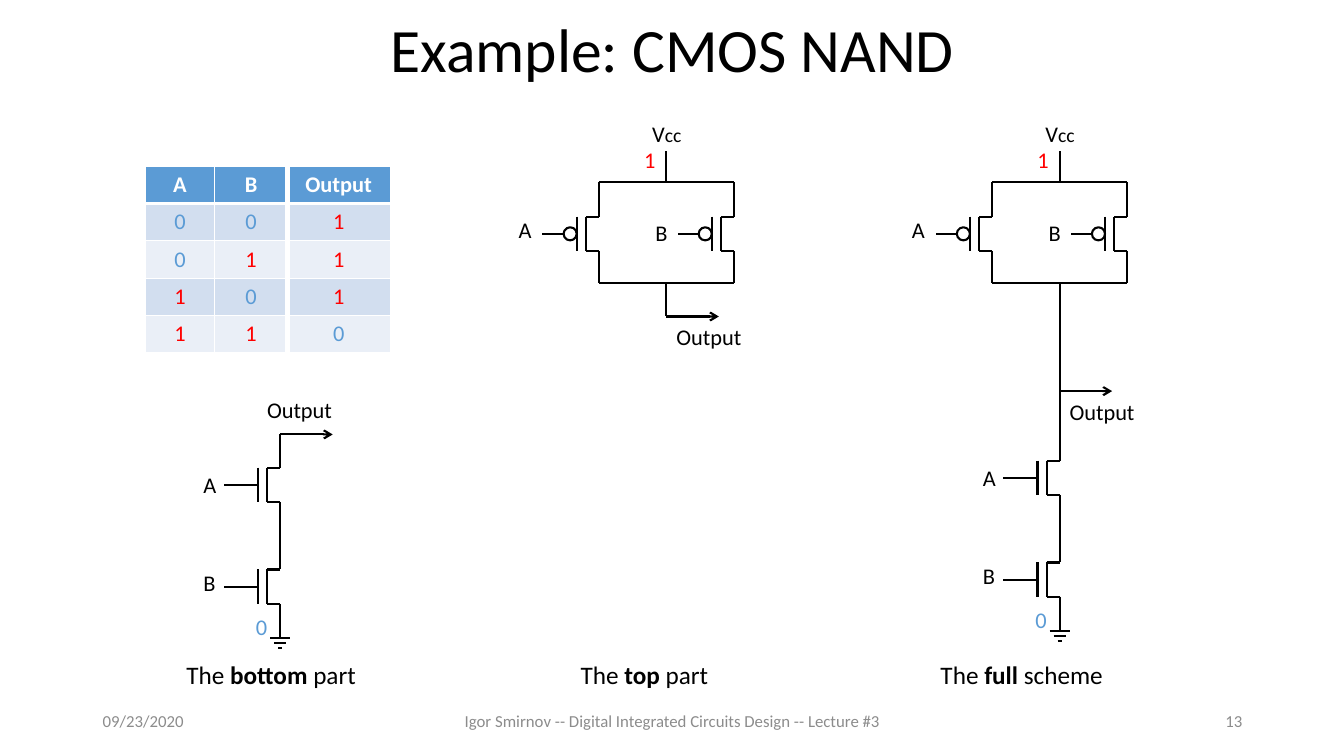
import pptx
import pptx.util
import pptx.dml.color
import pptx.enum.shapes
import pptx.enum.text
import pptx.oxml
import pptx.oxml.ns

THEME = {
    "font": "Calibri",
    "black": "000000", "white": "FFFFFF", "grey": "8C8C8C",
    "high": "FF0000", "low": "5B9BD5", "header": "5B9BD5",
    "bands": ("D2DEEF", "EAEFF7"),
    "title": 44, "caption": 18, "label": 16, "subscript": 14, "footer": 12,
    "wire": 1.5,
}
TITLE = "Example: CMOS NAND"
FOOTERS = [
    ("09/23/2020", 0.92, 3, "LEFT"),
    ("Igor Smirnov -- Digital Integrated Circuits Design -- Lecture #3", 4.42, 4.5, "CENTER"),
    ("13", 9.42, 3, "RIGHT"),
]
TRUTH = [("A", "B", "Output"), "001", "011", "101", "110"]
COLUMNS = (0.69, 0.72, 1.02)
CAPTIONS = [("bottom ", "part", 1.75, 1.91), ("top ", "part", 5.66, 1.48), ("full ", "scheme", 9.23, 1.83)]
LABEL_WIDTHS = {"A": 0.33, "B": 0.34, "Output": 0.85, "0": 0.32, "1": 0.32}
LEVELS = {"0": THEME["low"], "1": THEME["high"]}
GATE = 0.34
BRANCH = 0.67
RAIL_TOP, RAIL_BOTTOM = 1.81, 2.81
STACK_STEP = 1.01

Inches, Pt = pptx.util.Inches, pptx.util.Pt
ALIGN = pptx.enum.text.PP_ALIGN
MIDDLE = pptx.enum.text.MSO_ANCHOR.MIDDLE
qn = pptx.oxml.ns.qn

prs = pptx.Presentation()
prs.slide_width, prs.slide_height = Inches(13.33), Inches(7.5)
s = prs.slides.add_slide(prs.slide_layouts[5])


def rgb(color):
    return pptx.dml.color.RGBColor.from_string(color)


def add_run(p, text, size, color=THEME["black"], bold=False):
    r = p.add_run()
    r.text = text
    r.font.name, r.font.size, r.font.bold = THEME["font"], Pt(size), bold
    r.font.color.rgb = rgb(color)


def add_text(shapes, x, y, w, h, runs, align="LEFT", wrap=False):
    tf = shapes.add_textbox(Inches(x), Inches(y), Inches(w), Inches(h)).text_frame
    tf.word_wrap = wrap
    p = tf.paragraphs[0]
    p.alignment = ALIGN[align]
    for run in runs:
        add_run(p, *run)
    return tf


def label(g, text, x, y, align="LEFT"):
    color = LEVELS.get(text, THEME["black"])
    add_text(g, x, y, LABEL_WIDTHS[text], 0.37, [(text, THEME["label"], color)], align)


def wire(g, x1, y1, x2, y2, arrow=False):
    c = g.add_connector(pptx.enum.shapes.MSO_CONNECTOR.STRAIGHT,
                        Inches(x1), Inches(y1), Inches(x2), Inches(y2))
    c.line.color.rgb, c.line.width = rgb(THEME["black"]), Pt(THEME["wire"])
    if arrow:
        pptx.oxml.ns  
        tail = c.line._get_or_add_ln().makeelement(qn("a:tailEnd"), {"type": "arrow"})
        c.line._get_or_add_ln().append(tail)
    sp_pr = c._element.spPr
    sp_pr.append(sp_pr.makeelement(qn("a:effectLst"), {}))


def transistor(g, x, y, top, bottom, inverted=False):
    channel, plate, end = x - 0.13, x - 0.22, y + GATE
    middle = y + GATE / 2
    wire(g, channel, y, channel, end)
    wire(g, channel, y, x, y)
    wire(g, channel, end, x, end)
    wire(g, x, top, x, y)
    wire(g, x, end, x, bottom)
    wire(g, plate, y, plate, end)
    wire(g, plate, middle, plate - GATE, middle)
    if inverted:
        d = 0.13
        sp = g.add_shape(pptx.enum.shapes.MSO_SHAPE.OVAL, Inches(plate - d),
                         Inches(middle - d / 2), Inches(d), Inches(d))
        sp.shadow.inherit = False
        sp.fill.solid()
        sp.fill.fore_color.rgb = rgb(THEME["white"])
        sp.line.color.rgb, sp.line.width = rgb(THEME["black"]), Pt(THEME["wire"])


def output(g, x, y, dx, dy):
    wire(g, x, y, x + 0.52, y, arrow=True)
    label(g, "Output", x + dx, y + dy)


def pull_up(g, x, out_y):
    for name, bx, label_y in (("A", x - BRANCH, 2.1), ("B", x + BRANCH, 2.12)):
        transistor(g, bx, 2.15, RAIL_TOP, RAIL_BOTTOM, inverted=True)
        label(g, name, bx - 0.9, label_y, "RIGHT")
    for y in (RAIL_TOP, RAIL_BOTTOM):
        wire(g, x - BRANCH, y, x + BRANCH, y)
    wire(g, x, 1.5, x, RAIL_TOP)
    wire(g, x, RAIL_BOTTOM, x, out_y)
    add_text(g, x - 0.24, 1.14, 0.49, 0.37,
             [("V", THEME["label"]), ("cc", THEME["subscript"])])
    label(g, "1", x - 0.32, 1.4)
    output(g, x, out_y, 0, 0.02)


def pull_down(g, x, y, out_y):
    second, joint = y + STACK_STEP, y + 2 * GATE
    ground = second + 2 * GATE
    transistor(g, x, y, out_y, joint)
    transistor(g, x, second, joint, ground)
    label(g, "A", x - 0.86, y - 0.01)
    label(g, "B", x - 0.86, second - 0.05)
    label(g, "0", x - 0.34, second + 0.38)
    for i, half in enumerate((0.1, 0.06, 0.02)):
        bar = ground + i * 0.05
        wire(g, x - half, bar, x + half, bar)


def add_border(cell, sides):
    tc_pr = cell._tc.get_or_add_tcPr()
    for i, (side, width) in enumerate(sides.items()):
        ln = tc_pr.makeelement(qn("a:ln" + side), {"w": str(int(Pt(width)))})
        fill = ln.makeelement(qn("a:solidFill"), {})
        fill.append(fill.makeelement(qn("a:srgbClr"), {"val": THEME["white"]}))
        ln.append(fill)
        tc_pr.insert(i, ln)


def add_truth_table():
    row_h = 0.37
    table = s.shapes.add_table(len(TRUTH), len(COLUMNS), Inches(1.44), Inches(1.65),
                               Inches(sum(COLUMNS)), Inches(row_h * len(TRUTH))).table
    for column, width in zip(table.columns, COLUMNS):
        column.width = Inches(width)
    for i, values in enumerate(TRUTH):
        table.rows[i].height = Inches(row_h)
        for j, value in enumerate(values):
            cell = table.cell(i, j)
            cell.vertical_anchor = MIDDLE
            cell.fill.solid()
            cell.fill.fore_color.rgb = rgb(THEME["bands"][(i - 1) % 2] if i else THEME["header"])
            p = cell.text_frame.paragraphs[0]
            p.alignment = ALIGN.CENTER
            add_run(p, value, THEME["label"], LEVELS.get(value, THEME["white"]), i == 0)
            add_border(cell, {"L": 4.5 if j == 2 else 1, "R": 4.5 if j == 1 else 1,
                              "T": 3 if i == 1 else 1, "B": 3 if i == 0 else 1})


title = s.shapes.title
title.left, title.top, title.width, title.height = map(Inches, (0.92, 0, 11.5, 1.04))
tf = title.text_frame
tf.vertical_anchor = MIDDLE
p = tf.paragraphs[0]
p.alignment, p.line_spacing = ALIGN.CENTER, 0.9
add_run(p, TITLE, THEME["title"])

for text, x, w, align in FOOTERS:
    tf = add_text(s.shapes, x, 6.95, w, 0.4, [(text, THEME["footer"], THEME["grey"])], align, True)
    tf.vertical_anchor = MIDDLE

add_truth_table()

bottom_part, top_part, full_scheme = (s.shapes.add_group_shape().shapes for _ in CAPTIONS)
pull_down(bottom_part, 2.78, 4.64, 4.31)
output(bottom_part, 2.78, 4.31, -0.23, -0.43)
pull_up(top_part, 6.61, 3.14)
pull_up(full_scheme, 10.51, 3.88)
pull_down(full_scheme, 10.51, 4.57, 3.88)

for part, noun, x, w in CAPTIONS:
    size, black = THEME["caption"], THEME["black"]
    add_text(s.shapes, x, 6.49, w, 0.4, [("The ", size), (part, size, black, True), (noun, size)])

prs.save("out.pptx")
